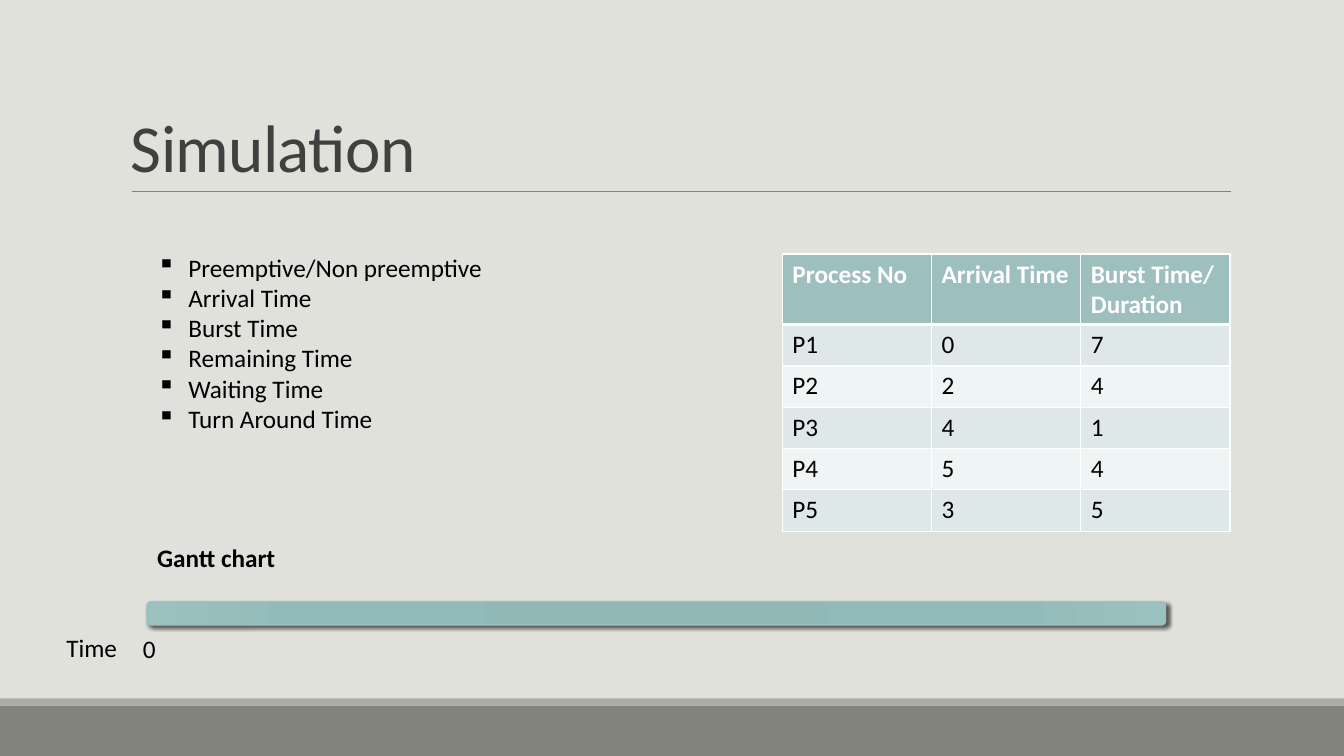
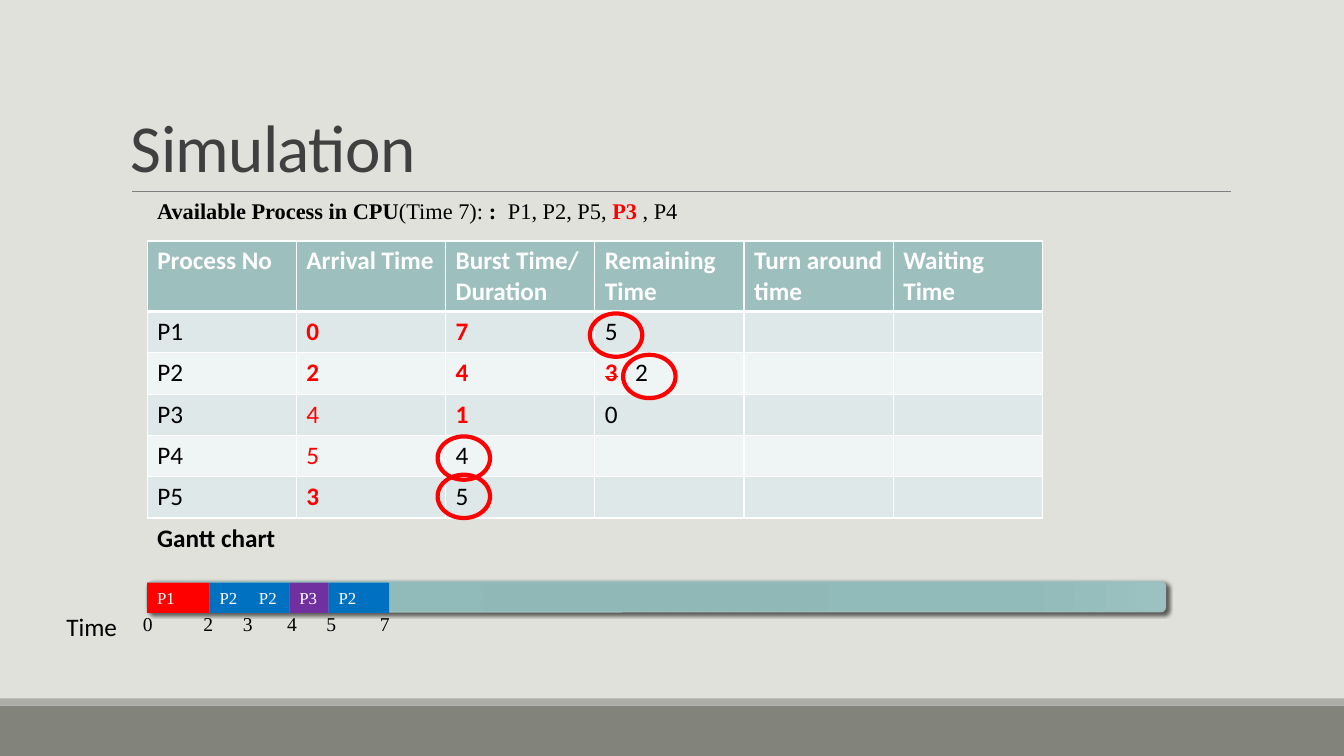
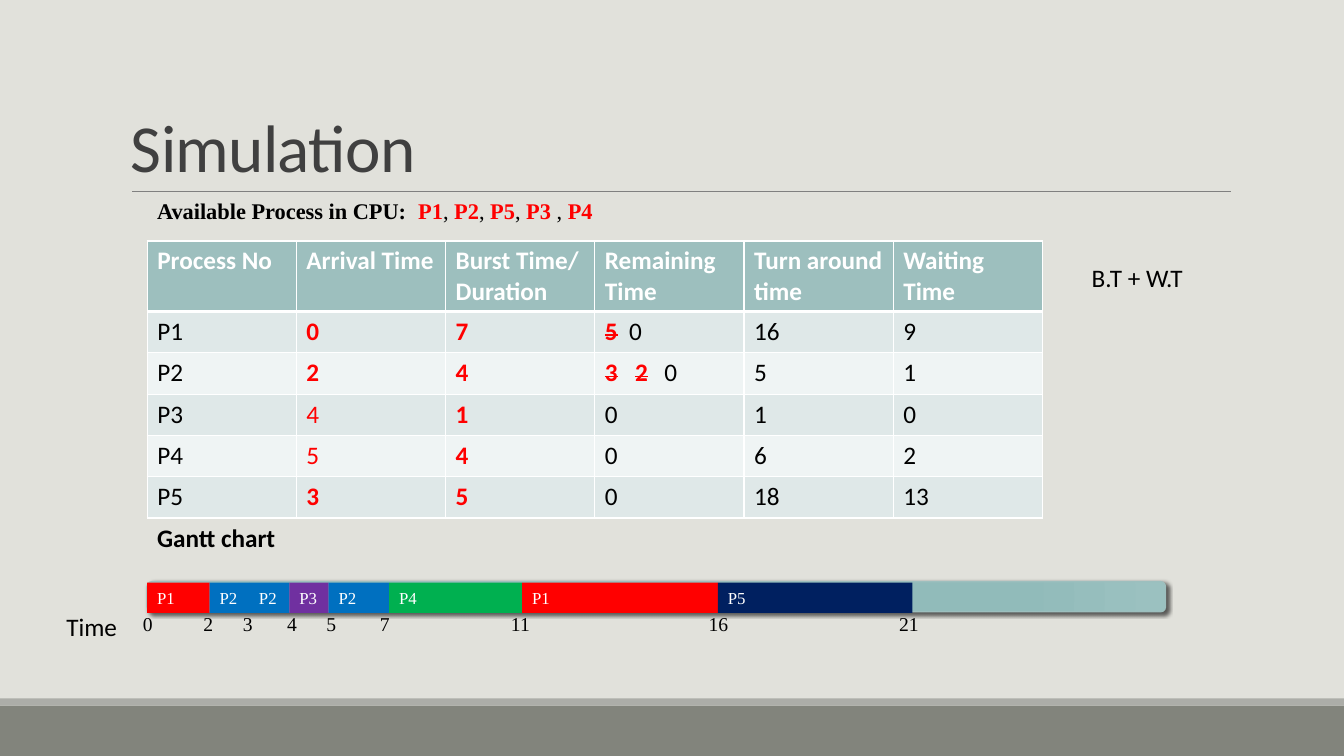
import pptx
import pptx.dml.color
import pptx.enum.shapes
import pptx.enum.text
import pptx.oxml
import pptx.oxml.ns
import pptx.util
from pptx.util import Inches

SANS, SERIF = "Calibri", "Times New Roman"
BACKGROUND, BLACK, WHITE, RED = "E1E1DB", "000000", "FFFFFF", "FF0000"
TITLE_COLOR, RULE, HEADER = "404040", "808080", "9DBFBE"
ROW_FILLS = ["DFE8E8", "EFF4F4"]
BANDS = [(7, 0.5, "82847C"), (6.93, 0.07, "ACADA8")]
BAR_STOPS = [(0, "8EB7B6"), (34, "90B8B7"), (70, "91BBBA"), (100, "9BC1C0")]

LEFT = 1.46
COLUMN, HEADER_ROW, ROW = 1.48, 0.7, 0.41
OVAL = (0.52, 0.43)

# A text is a string or a list of (string, style); style letters are
# b = bold, r = red, s = struck through.
TOPICS = ["Preemptive/Non preemptive", "Arrival Time", "Burst Time",
          "Remaining Time", "Waiting Time", "Turn Around Time"]
HEADINGS = ["Process No", "Arrival Time", "Burst Time/ Duration",
            "Remaining Time", "Turn around time", "Waiting Time"]
PROCESSES = [("P1", "0", "7"), ("P2", "2", "4"), ("P3", "4", "1"),
             ("P4", "5", "4"), ("P5", "3", "5")]
ARRIVAL_STYLES = ["br", "br", "r", "r", "br"]

# process, colour, width, end time, tab stop of the end time
SEGMENTS = [
    ("P1", RED, 0.62, "2", 0.6),
    ("P2", "0070C0", 0.39, "3", 0.99),
    ("P2", "0070C0", 0.4, "4", 1.43),
    ("P3", "7030A0", 0.39, "5", 1.82),
    ("P2", "0070C0", 0.6, "7", 2.35),
    ("P4", "00B050", 1.32, "11", 3.65),
    ("P1", RED, 1.94, "16", 5.61),
    ("P5", "002060", 1.93, "21", 7.5),
]

# Remaining, turn around and waiting time of each process
AT_SEVEN = {
    "available": [("Available Process in CPU", "b"), ("(Time 7):", ""), (" :", "b"),
                  ("\tP1, P2, P5, ", ""), ("P3", "br"), (" , P4", "")],
    "available_tab": 3.48,
    "burst_styles": ["br", "br", "br", "", ""],
    "results": [("5", "", ""),
                ([("3", "brs"), ("\t", ""), ("2", "")], "", ""),
                ("0", "", ""), ("", "", ""), ("", "", "")],
    "segments": SEGMENTS[:5],
    "ovals": [(5.85, 3.11), (6.18, 3.52), (4.34, 4.33), (4.34, 4.71)],
}
FINISHED = {
    "available": [("Available Process in CPU:", "b"), ("\tP1", "br"), (", ", ""),
                  ("P2", "br"), (", ", ""), ("P5", "br"), (", ", ""),
                  ("P3", "br"), (" , ", ""), ("P4", "br")],
    "available_tab": 2.59,
    "burst_styles": ["br"] * 5,
    "results": [([("5", "brs"), ("\t", ""), ("0", "")], "16", "9"),
                ([("3", "brs"), ("\t", ""), ("2", "brs"), ("\t", ""), ("0", "")],
                 "5", "1"),
                ("0", "1", "0"), ("0", "6", "2"), ("0", "18", "13")],
    "segments": SEGMENTS,
    "ovals": [],
}
RESULT_TABS = [(0.24,), (0.3, 0.59), (), (), ()]


def rgb(color):
    return pptx.dml.color.RGBColor.from_string(color)


def element(xml):
    """Parse one DrawingML element written with the a: prefix."""
    head, rest = xml.split(" ", 1) if " " in xml.split(">")[0] else xml.split(">", 1)
    joiner = " " if " " in xml.split(">")[0] else ">"
    return pptx.oxml.parse_xml(head + " " + pptx.oxml.ns.nsdecls("a") + joiner + rest)


def write(p, text, size=18, font=SANS, color=BLACK, tabs=()):
    if tabs:
        stops = "".join(f'<a:tab pos="{Inches(x)}" algn="l"/>' for x in tabs)
        p._p.get_or_add_pPr().append(element(f"<a:tabLst>{stops}</a:tabLst>"))
    for words, style in [(text, "")] if isinstance(text, str) else text:
        if not words:
            continue
        r = p.add_run()
        r.text = words
        r.font.size, r.font.name = pptx.util.Pt(size), font
        r.font.bold = "b" in style
        r.font.color.rgb = rgb(RED if "r" in style else color)
        if "s" in style:
            r._r.get_or_add_rPr().set("strike", "sngStrike")


def add_text(slide, box, text, fill=None, **style):
    sp = slide.shapes.add_textbox(*map(Inches, box))
    sp.text_frame.word_wrap = True
    if fill:
        sp.fill.solid()
        sp.fill.fore_color.rgb = rgb(fill)
    write(sp.text_frame.paragraphs[0], text, **style)
    return sp


def add_base(prs):
    """Add a slide with the bands, the title and the rule under it."""
    slide = prs.slides.add_slide(prs.slide_layouts[6])
    for top, height, color in BANDS:
        sp = slide.shapes.add_shape(pptx.enum.shapes.MSO_SHAPE.RECTANGLE, 0,
                                    Inches(top), prs.slide_width, Inches(height))
        sp.shadow.inherit = False
        sp.fill.solid()
        sp.fill.fore_color.rgb = rgb(color)
        sp.line.fill.background()
    line = slide.shapes.add_connector(pptx.enum.shapes.MSO_CONNECTOR.STRAIGHT,
                                      *map(Inches, (1.31, 1.9, 12.21, 1.9)))
    line.line.color.rgb = rgb(RULE)
    line.line.width = pptx.util.Pt(0.5)
    line._element.spPr.append(element("<a:effectLst></a:effectLst>"))
    title = add_text(slide, (1.2, 0.31, 11, 1.59), "Simulation", size=48,
                     color=TITLE_COLOR)
    title.text_frame.vertical_anchor = pptx.enum.text.MSO_ANCHOR.BOTTOM
    p = title.text_frame.paragraphs[0]
    p.line_spacing = 0.85
    p.runs[0]._r.get_or_add_rPr().set("spc", "-50")
    return slide


def style_cell(cell, row):
    widths = {"L": 1, "R": 1, "T": 3 if row == 1 else 1, "B": 3 if row == 0 else 1}
    tcPr = cell._tc.get_or_add_tcPr()
    for side, width in widths.items():
        tcPr.append(element(
            f'<a:ln{side} w="{pptx.util.Pt(width)}"><a:solidFill>'
            f'<a:srgbClr val="{WHITE}"/></a:solidFill></a:ln{side}>'))
    cell.fill.solid()
    cell.fill.fore_color.rgb = rgb(ROW_FILLS[(row - 1) % 2] if row else HEADER)


def add_process_table(slide, left, top, rows):
    count = len(rows[0])
    table = slide.shapes.add_table(
        len(rows) + 1, count, Inches(left), Inches(top), Inches(COLUMN * count),
        Inches(HEADER_ROW + ROW * len(rows))).table
    for column in table.columns:
        column.width = Inches(COLUMN)
    headings = [[(heading, "b")] for heading in HEADINGS[:count]]
    for i, texts in enumerate([headings] + rows):
        table.rows[i].height = Inches(ROW if i else HEADER_ROW)
        for j, text in enumerate(texts):
            cell = table.cell(i, j)
            style_cell(cell, i)
            tabs = RESULT_TABS[i - 1] if i and j == 3 else ()
            write(cell.text_frame.paragraphs[0], text, tabs=tabs,
                  color=BLACK if i else WHITE)


def add_gantt(slide, top, height):
    """Add the heading, the empty bar and the word Time below it."""
    sp = slide.shapes.add_shape(pptx.enum.shapes.MSO_SHAPE.ROUNDED_RECTANGLE,
                                *map(Inches, (LEFT, top, 10.1, height)))
    stops = "".join(f'<a:gs pos="{at * 1000}"><a:srgbClr val="{color}"/></a:gs>'
                    for at, color in BAR_STOPS)
    spPr = sp._element.spPr
    spPr.append(element(
        f'<a:gradFill rotWithShape="1"><a:gsLst>{stops}</a:gsLst><a:path path="circle">'
        '<a:fillToRect l="100000" t="100000" r="100000" b="100000"/></a:path>'
        '</a:gradFill>'))
    sp.line.color.rgb = rgb(HEADER)
    sp.line.width = pptx.util.Pt(1)
    spPr.append(element(
        f'<a:effectLst><a:outerShdw blurRad="{pptx.util.Pt(3)}" '
        f'dist="{pptx.util.Pt(2)}" dir="2700000"><a:srgbClr val="{BLACK}">'
        '<a:alpha val="60000"/></a:srgbClr></a:outerShdw></a:effectLst>'))
    heading_top = top - 0.64
    add_text(slide, (LEFT, heading_top, 6.08, 0.4), [("Gantt chart", "b")])
    add_text(slide, (0.56, heading_top + 0.89, 0.76, 0.4), "Time")


def add_topics(slide):
    tf = add_text(slide, (LEFT, 2.45, 5.79, 2.22), "").text_frame
    for i, topic in enumerate(TOPICS):
        p = tf.add_paragraph() if i else tf.paragraphs[0]
        pPr = p._p.get_or_add_pPr()
        pPr.set("marL", str(Inches(0.31)))
        pPr.set("indent", str(-Inches(0.31)))
        pPr.append(element('<a:buChar char="▪"/>'))
        write(p, topic)


def add_intro(prs):
    slide = add_base(prs)
    add_process_table(slide, 7.76, 2.52, PROCESSES)
    add_topics(slide)
    add_gantt(slide, 5.97, 0.23)
    add_text(slide, (1.32, 6.23, 10.1, 0.4), "0")


def add_step(prs, step):
    """Add a slide with the full table and the Gantt chart up to one moment."""
    slide = add_base(prs)
    rows = [[name, [(arrival, a)], [(burst, b)], *results]
            for (name, arrival, burst), a, b, results in zip(
                PROCESSES, ARRIVAL_STYLES, step["burst_styles"], step["results"])]
    add_process_table(slide, LEFT, 2.39, rows)
    add_text(slide, (LEFT, 1.91, 10.23, 0.64), step["available"], size=16,
             font=SERIF, tabs=[step["available_tab"]])
    add_gantt(slide, 5.77, 0.3)
    times = "\t".join(["0"] + [segment[3] for segment in step["segments"]])
    add_text(slide, (1.32, 6.02, 10.1, 0.34), times, size=14, font=SERIF,
             tabs=[segment[4] for segment in step["segments"]])
    left = LEFT
    for name, color, width, _, _ in step["segments"]:
        add_text(slide, (left, 5.78, width, 0.3), name, fill=color, size=12,
                 font=SERIF, color=WHITE)
        left += width
    for corner in step["ovals"]:
        sp = slide.shapes.add_shape(pptx.enum.shapes.MSO_SHAPE.OVAL,
                                    *map(Inches, corner + OVAL))
        sp.shadow.inherit = False
        sp.fill.background()
        sp.line.color.rgb = rgb(RED)
        sp.line.width = pptx.util.Pt(3)
    return slide


def main():
    prs = pptx.Presentation()
    prs.slide_width, prs.slide_height = Inches(13.33), Inches(7.5)
    background = prs.slide_master.background.fill
    background.solid()
    background.fore_color.rgb = rgb(BACKGROUND)
    add_intro(prs)
    add_step(prs, AT_SEVEN)
    slide = add_step(prs, FINISHED)
    add_text(slide, (10.73, 2.55, 1.47, 0.4), "B.T + W.T")
    prs.save("out.pptx")


if __name__ == "__main__":
    main()
